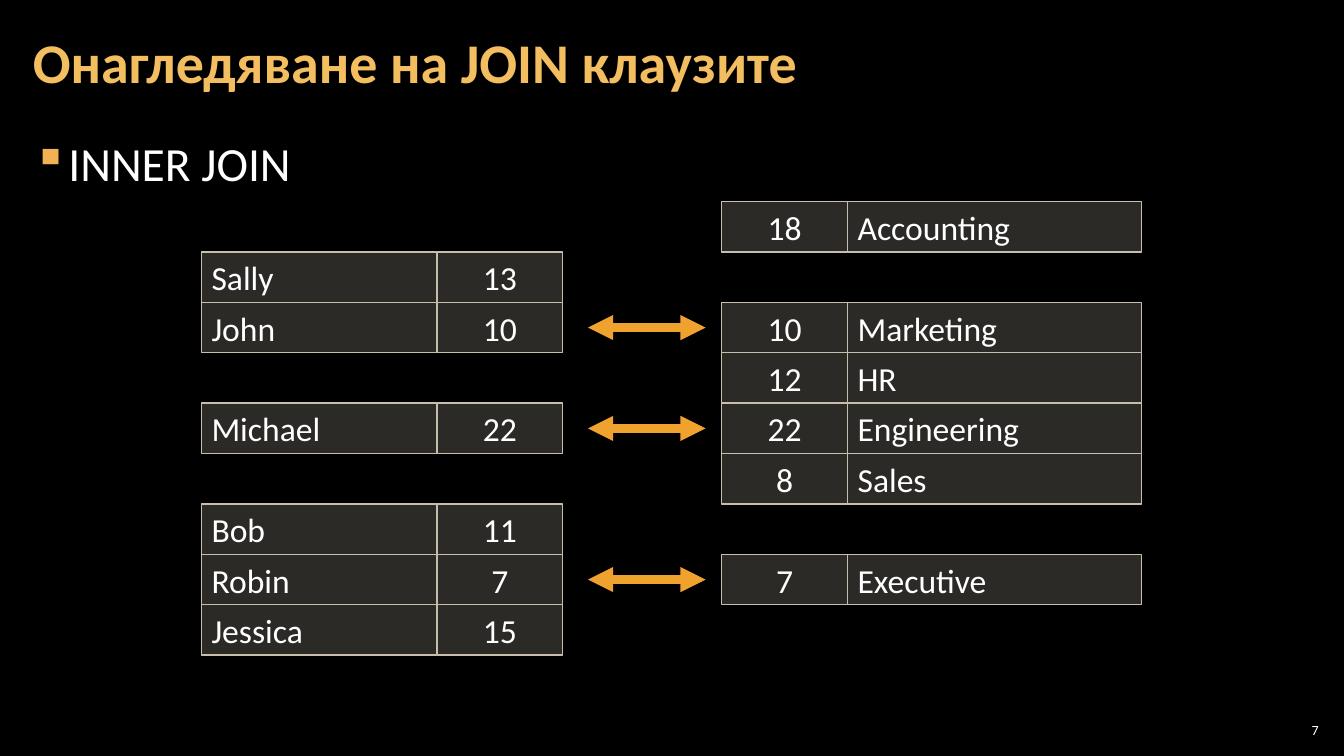
from lxml.etree import SubElement
from pptx import Presentation
from pptx.dml.color import RGBColor
from pptx.enum.shapes import MSO_CONNECTOR, MSO_SHAPE
from pptx.enum.text import MSO_ANCHOR, PP_ALIGN
from pptx.oxml import parse_xml
from pptx.oxml.ns import nsdecls, qn
from pptx.util import Pt

BLACK = RGBColor(0x00, 0x00, 0x00)
WHITE = RGBColor(0xFF, 0xFF, 0xFF)
TITLE_GOLD = RGBColor(0xF3, 0xBE, 0x60)
ARROW_ORANGE = RGBColor(0xF0, 0xA2, 0x2E)
CELL_FILL = RGBColor(0xD9, 0xD5, 0xC7)
CELL_LINE = RGBColor(0xC7, 0xBF, 0xAC)

ROW_TOP, ROW_HEIGHT = 144, 36
NAME_WIDTH, ID_WIDTH, DEPARTMENT_WIDTH = 168, 90, 210
EMPLOYEE_LEFT, DEPARTMENT_LEFT = 144, 515.5
ARROW_LEFT, ARROW_RIGHT = 420, 504

# Row number on the shared grid: (text, id)
employees = {1: ("Sally", "13"), 2: ("John", "10"), 4: ("Michael", "22"),
             6: ("Bob", "11"), 7: ("Robin", "7"), 8: ("Jessica", "15")}
departments = {0: ("Accounting", "18"), 2: ("Marketing", "10"), 3: ("HR", "12"),
               4: ("Engineering", "22"), 5: ("Sales", "8"), 7: ("Executive", "7")}


def write(shape, text, size, color=WHITE, align=PP_ALIGN.LEFT,
          anchor=MSO_ANCHOR.MIDDLE, margin=7.2):
    frame = shape.text_frame
    frame.word_wrap = True
    frame.vertical_anchor = anchor
    frame.margin_left = frame.margin_right = Pt(margin)
    frame.margin_top = frame.margin_bottom = Pt(3)
    paragraph = frame.paragraphs[0]
    paragraph.text = text
    paragraph.alignment = align
    paragraph.font.name = "Calibri"
    paragraph.font.size = Pt(size)
    paragraph.font.color.rgb = color
    return paragraph


def add_cell(left, row, width, text, align):
    cell = slide.shapes.add_shape(MSO_SHAPE.RECTANGLE, Pt(left), Pt(ROW_TOP + row * ROW_HEIGHT),
                                  Pt(width), Pt(ROW_HEIGHT))
    cell.shadow.inherit = False
    cell.fill.solid()
    cell.fill.fore_color.rgb = CELL_FILL
    fill_color = cell.fill._xPr.find(qn("a:solidFill")).find(qn("a:srgbClr"))
    SubElement(fill_color, qn("a:alpha"), val="20000")
    cell.line.color.rgb = CELL_LINE
    cell.line.width = Pt(1)
    write(cell, text, 24, align=align)


presentation = Presentation()
presentation.slide_width, presentation.slide_height = Pt(960), Pt(540)
slide = presentation.slides.add_slide(presentation.slide_layouts[6])
slide.background.fill.solid()
slide.background.fill.fore_color.rgb = BLACK

# Title
title = slide.shapes.add_textbox(Pt(15), Pt(3), Pt(930), Pt(87))
paragraph = write(title, "Онагледяване на JOIN клаузите", 40, TITLE_GOLD, margin=8.5)
paragraph.font.bold = True
paragraph.line_spacing = 0.9

# Bullet
body = slide.shapes.add_textbox(Pt(15), Pt(90.5), Pt(930), Pt(438.5))
paragraph = write(body, "INNER JOIN", 34, anchor=MSO_ANCHOR.TOP, margin=8.5)
paragraph.line_spacing = 1.05
paragraph.space_before = paragraph.space_after = Pt(6)
properties = paragraph._p.get_or_add_pPr()
properties.set("marL", str(Pt(24)))
properties.set("indent", str(-Pt(24)))
for bullet_xml in (f'<a:buClr {nsdecls("a")}><a:srgbClr val="F2B254"/></a:buClr>',
                   f'<a:buChar {nsdecls("a")} char="▪"/>'):
    properties.find(qn("a:defRPr")).addprevious(parse_xml(bullet_xml))

# Employee and department rows
for row, (name, department_id) in employees.items():
    add_cell(EMPLOYEE_LEFT, row, NAME_WIDTH, name, PP_ALIGN.LEFT)
    add_cell(EMPLOYEE_LEFT + NAME_WIDTH, row, ID_WIDTH, department_id, PP_ALIGN.CENTER)
for row, (department, department_id) in departments.items():
    add_cell(DEPARTMENT_LEFT, row, ID_WIDTH, department_id, PP_ALIGN.CENTER)
    add_cell(DEPARTMENT_LEFT + ID_WIDTH, row, DEPARTMENT_WIDTH, department, PP_ALIGN.LEFT)

# Arrows join the rows whose ids match
for row in employees.keys() & departments.keys():
    if employees[row][1] != departments[row][1]:
        continue
    middle = Pt(ROW_TOP + (row + 0.5) * ROW_HEIGHT)
    arrow = slide.shapes.add_connector(MSO_CONNECTOR.STRAIGHT, Pt(ARROW_LEFT), middle,
                                       Pt(ARROW_RIGHT), middle)
    arrow.line.color.rgb = ARROW_ORANGE
    arrow.line.width = Pt(6)
    for end in ("a:headEnd", "a:tailEnd"):
        SubElement(arrow.line._get_or_add_ln(), qn(end), type="triangle")
    SubElement(arrow._element.spPr, qn("a:effectLst"))

# Slide number
number = slide.shapes.add_textbox(Pt(911), Pt(514), Pt(34), Pt(15))
write(number, "7", 10, align=PP_ALIGN.RIGHT, margin=3)

presentation.save("out.pptx")
